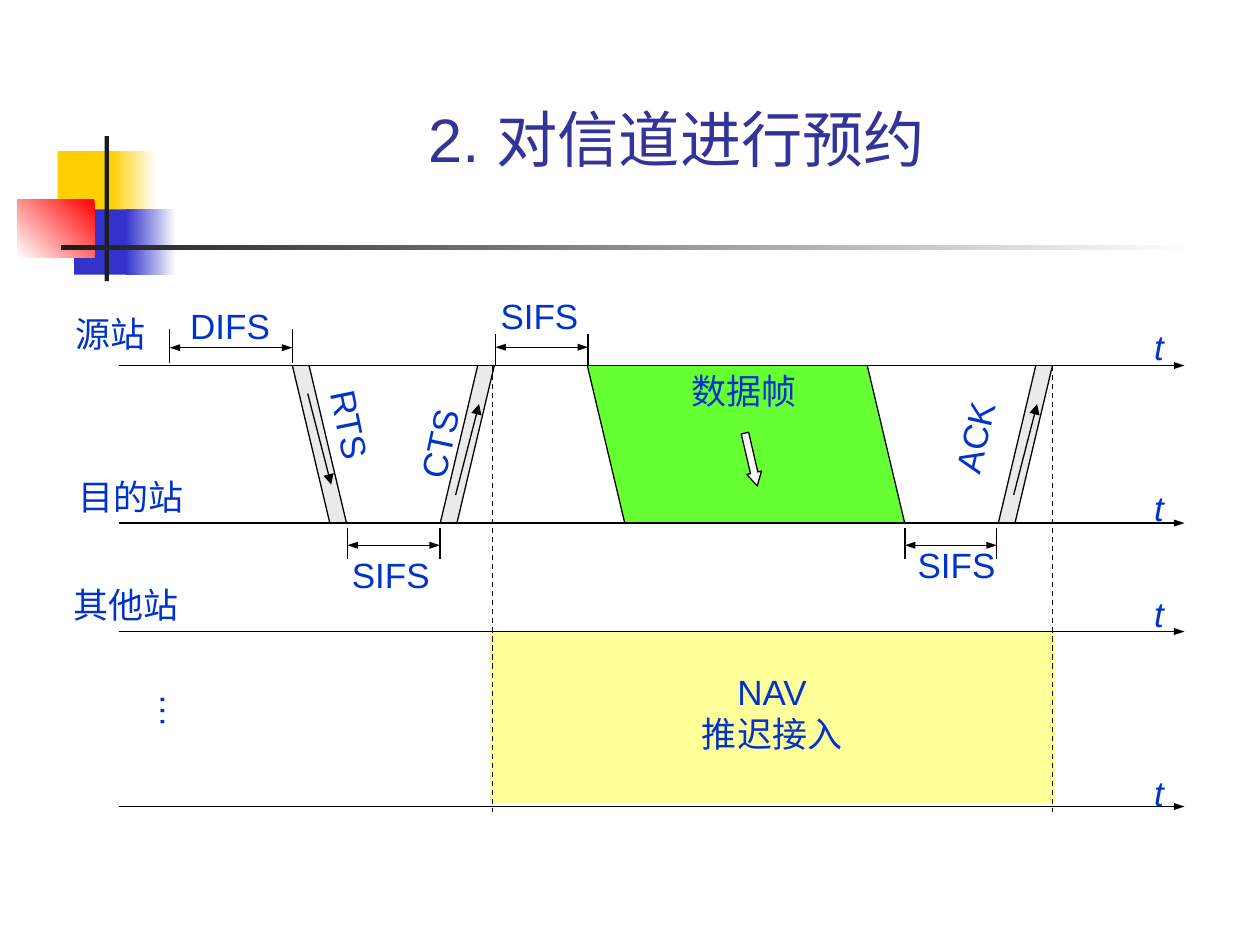
from dataclasses import dataclass

from lxml.etree import SubElement
from pptx import Presentation
from pptx.dml.color import RGBColor
from pptx.enum.dml import MSO_LINE
from pptx.enum.shapes import MSO_CONNECTOR, MSO_SHAPE
from pptx.enum.text import MSO_ANCHOR, MSO_AUTO_SIZE, PP_ALIGN
from pptx.oxml.ns import qn
from pptx.util import Pt


@dataclass(frozen=True)
class Theme:
    font: str = "Arial"
    title_size: float = 35
    label_size: float = 20
    line_width: float = 0.75
    title: str = "333399"
    label: str = "0033CC"
    line: str = "000000"
    white: str = "FFFFFF"
    yellow: str = "FFCF01"
    blue: str = "3333CC"
    red: str = "FF0000"
    dark: str = "1C1C1C"
    control: str = "EAEAEA"
    data: str = "66FF33"
    deferral: str = "FFFF99"


@dataclass(frozen=True)
class Box:
    left: float
    top: float
    width: float
    height: float

    def point(self, x, y):
        return Pt(self.left + x), Pt(self.top + y)


THEME = Theme()
LINE_GAP = 90
SKEW = 21.4
LABEL_HEIGHT = 31.7


def color(value):
    return RGBColor.from_string(value)


def style_run(run, size, text_color, italic=False):
    run.font.name = THEME.font
    run.font.size = Pt(size)
    run.font.color.rgb = color(text_color)
    run.font.italic = italic


def add_block(slide, box, x, y, width, height, fill, fade=None, angle=0, kind=MSO_SHAPE.RECTANGLE):
    shape = slide.shapes.add_shape(kind, *box.point(x, y), Pt(width), Pt(height))
    shape.shadow.inherit = False
    shape.line.fill.background()
    if fade:
        shape.fill.gradient()
        shape.fill.gradient_angle = angle
        for stop, value in zip(shape.fill.gradient_stops, (fill, fade)):
            stop.color.rgb = color(value)
    else:
        shape.fill.solid()
        shape.fill.fore_color.rgb = color(fill)
    return shape


def add_line(slide, box, start, end, heads=(), head_width="sm", dashed=False):
    connector = slide.shapes.add_connector(
        MSO_CONNECTOR.STRAIGHT, *box.point(*start), *box.point(*end))
    connector.line.color.rgb = color(THEME.line)
    connector.line.width = Pt(THEME.line_width)
    if dashed:
        connector.line.dash_style = MSO_LINE.DASH
    outline = connector.line._get_or_add_ln()
    for head in heads:
        SubElement(outline, qn(f"a:{head}"), type="triangle", w=head_width, len="med")
    SubElement(connector._element.spPr, qn("a:effectLst"))


def add_label(slide, box, lines, x, y, width, rotation=0, italic=False,
              align=PP_ALIGN.CENTER, height=LABEL_HEIGHT):
    label = slide.shapes.add_textbox(*box.point(x, y), Pt(width), Pt(height))
    label.rotation = rotation
    frame = label.text_frame
    frame.word_wrap = False
    frame.auto_size = MSO_AUTO_SIZE.SHAPE_TO_FIT_TEXT
    for index, text in enumerate(lines):
        paragraph = frame.add_paragraph() if index else frame.paragraphs[0]
        paragraph.alignment = align
        run = paragraph.add_run()
        run.text = text
        style_run(run, THEME.label_size, THEME.label, italic)


def add_packet(slide, box, x, width, fill, skew):
    corners = [(x, 0), (x + width, 0), (x + width + skew, LINE_GAP), (x + skew, LINE_GAP)]
    points = [box.point(*corner) for corner in corners]
    builder = slide.shapes.build_freeform(*points[0], scale=1.0)
    builder.add_line_segments(points[1:], close=True)
    shape = builder.convert_to_shape()
    shape.shadow.inherit = False
    shape.fill.solid()
    shape.fill.fore_color.rgb = color(fill)
    shape.line.fill.background()
    add_line(slide, box, corners[0], corners[3])
    add_line(slide, box, corners[1], corners[2])


def add_control_packet(slide, box, x, skew):
    width = 9.5
    add_packet(slide, box, x, width, THEME.control, skew)
    direction = 1 if skew > 0 else -1
    center_x = x + (width + skew) / 2
    center_y = LINE_GAP / 2 - 3 * direction
    add_line(slide, box, (center_x - 6.7, center_y - 26 * direction),
             (center_x + 6.7, center_y + 26 * direction), ["tailEnd"], "med")


def add_interval(slide, box, start, end, tick_top, tick_bottom, arrow_y):
    for x in (start, end):
        add_line(slide, box, (x, tick_top), (x, tick_bottom))
    add_line(slide, box, (start, arrow_y), (end, arrow_y), ["headEnd", "tailEnd"])


def build_title(slide, box):
    title = slide.shapes.title
    title.left, title.top = box.point(0, 0)
    title.width, title.height = Pt(box.width), Pt(box.height)
    frame = title.text_frame
    frame.auto_size = MSO_AUTO_SIZE.NONE
    frame.vertical_anchor = MSO_ANCHOR.BOTTOM
    frame.margin_right = Pt(17)
    paragraph = frame.paragraphs[0]
    paragraph.alignment = PP_ALIGN.CENTER
    run = paragraph.add_run()
    run.text = "2. 对信道进行预约"
    style_run(run, THEME.title_size, THEME.title)


def build_ornament(slide, box):
    add_block(slide, box, 23, 8.6, 34.6, 37.4, THEME.yellow)
    add_block(slide, box, 53.3, 8.6, 26, 37.4, THEME.yellow, THEME.white)
    add_block(slide, box, 32.4, 41.8, 33, 37.4, THEME.blue)
    add_block(slide, box, 62, 41.8, 28.8, 37.4, THEME.blue, THEME.white)
    add_block(slide, box, 0, 36, 44, 33.2, THEME.red, THEME.white, 225)
    add_block(slide, box, 49.8, 0, 2.4, 82.8, THEME.dark)
    add_block(slide, box, 24.6, 62.4, box.width - 24.6, 2.4, THEME.dark, THEME.white)


def build_timing_diagram(slide, box):
    add_block(slide, box, 212.4, 152, 322.6, 98, THEME.deferral)
    add_packet(slide, box, 267.8, 160, THEME.data, SKEW)
    for x, skew in ((99.3, SKEW), (205.2, -SKEW), (524.1, -SKEW)):
        add_control_packet(slide, box, x, skew)
    for x in (213.8, 533.5):
        add_line(slide, box, (x, 0), (x, 254.9), dashed=True)
    for y, label_top in ((0, -26.6), (LINE_GAP, 65.5), (152, 126), (box.height, 228.2)):
        add_line(slide, box, (0, y), (box.width, y), ["tailEnd"])
        add_label(slide, box, ["t"], 584.6, label_top, 22, italic=True, align=PP_ALIGN.LEFT)

    add_interval(slide, box, 29.2, 99.3, -21, -1.5, -10.2)
    add_interval(slide, box, 215.3, 268.2, -18, 0, -10.5)
    for start, end in ((130.7, 183.6), (449.3, 501.8)):
        add_interval(slide, box, start, end, 92.8, 110.4, 102.7)

    arrow = add_block(slide, box, 357.1, 38.2, 8.6, 31, THEME.white, kind=MSO_SHAPE.DOWN_ARROW)
    arrow.adjustments[0], arrow.adjustments[1] = 0.5, 0.9
    arrow.rotation = 346.9
    arrow.line.color.rgb = color(THEME.line)
    arrow.line.width = Pt(THEME.line_width)

    labels = [
        ("源站", -36.7, -33.8, 64, 0),
        ("目的站", -35.1, 59, 84, 0),
        ("其他站", -38, 121, 84, 0),
        ("…", 11.7, 181.4, 40, 90),
        ("DIFS", 28.7, -38.2, 70, 0),
        ("SIFS", 205.5, -43.9, 70, 0),
        ("SIFS", 120.5, 103.7, 70, 0),
        ("SIFS", 443.8, 97.9, 70, 0),
        ("RTS", 100.1, 18, 64, 78.6),
        ("CTS", 151.2, 28.8, 64, 282.2),
        ("ACK", 457.2, 25.2, 64, 282.9),
        ("数据帧", 315.5, -1.4, 84, 0),
    ]
    for text, x, y, width, rotation in labels:
        add_label(slide, box, [text], x, y, width, rotation)
    add_label(slide, box, ["NAV", "推迟接入"], 321.4, 170.6, 104, height=55.4)


def main():
    presentation = Presentation()
    presentation.slide_width, presentation.slide_height = Pt(720), Pt(540)
    slide = presentation.slides.add_slide(presentation.slide_layouts[5])
    build_ornament(slide, Box(10, 77.8, 672.6, 82.8))
    build_title(slide, Box(72, 15, 639.4, 88.6))
    build_timing_diagram(slide, Box(67.8, 208.9, 609, 252))
    presentation.save("out.pptx")


if __name__ == "__main__":
    main()
